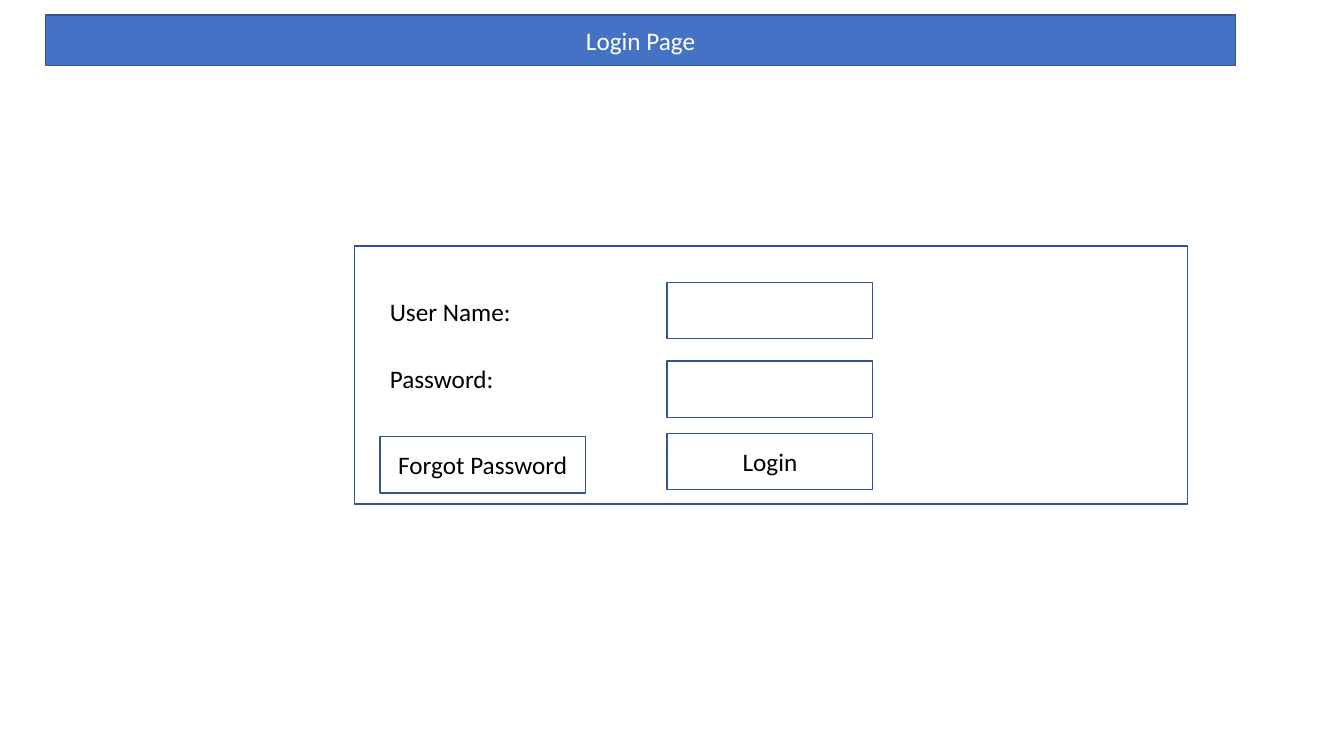
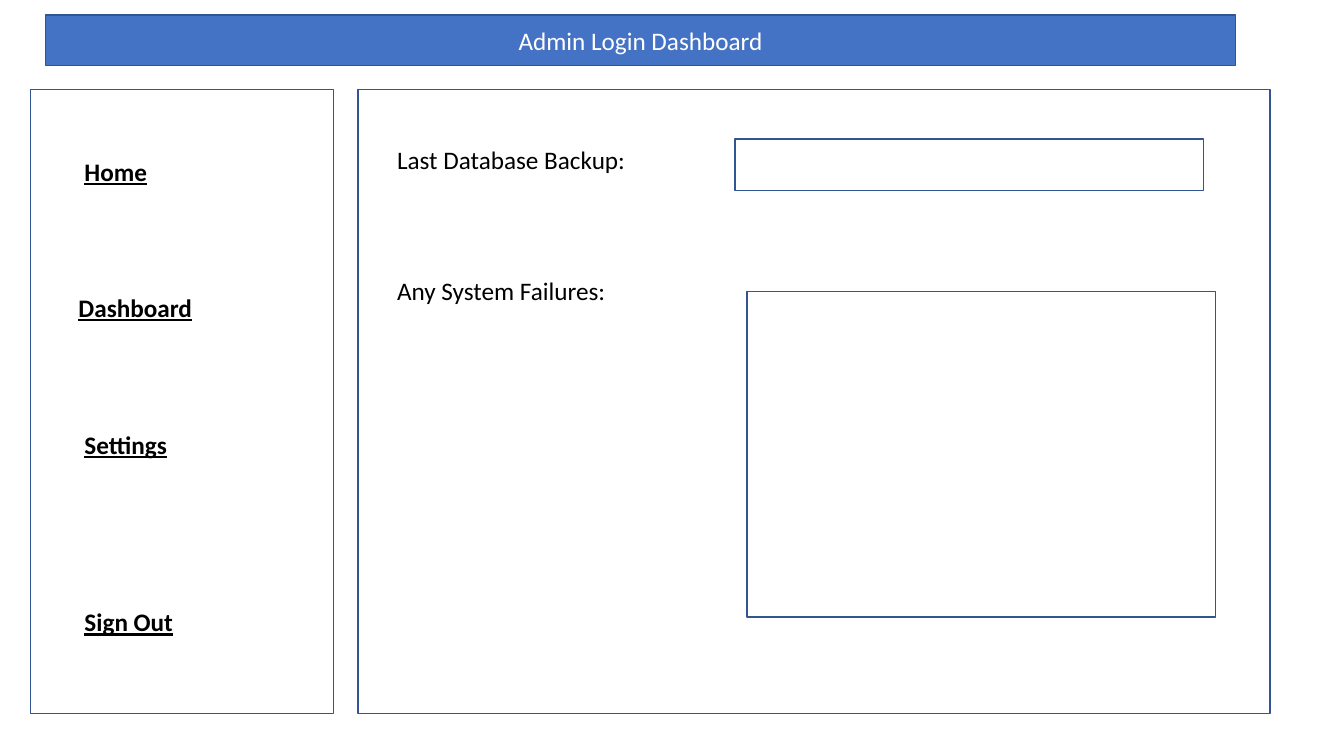
from pptx import Presentation
from pptx.dml.color import RGBColor
from pptx.enum.shapes import MSO_SHAPE as Preset
from pptx.enum.text import MSO_ANCHOR as Anchor, MSO_AUTO_SIZE as AutoSize, PP_ALIGN as Align
from pptx.util import Pt

BLUE = RGBColor(0x44, 0x72, 0xC4)
OUTLINE = RGBColor(0x32, 0x54, 0x91)
WHITE = RGBColor(0xFF, 0xFF, 0xFF)
BLACK = RGBColor(0x00, 0x00, 0x00)

PLAIN = {"name": "Calibri", "size": Pt(18)}
LINK = {**PLAIN, "bold": True, "underline": True}

# Shared layout, in points: left, top, width, height
BANNER = (32.4, 10.8, 850.3, 36)
LABEL_HEIGHT = 29

# Login page content
LOGIN_TITLE = "Login Page"
LOGIN_PANEL = (253.4, 175.7, 594.7, 184.3)
CONTROL_SIZE = (146.9, 40.3)
LABEL_LEFT, FIELD_LEFT = 271.4, 476.6
CONTROLS = [  # text, left, top
    ("", FIELD_LEFT, 201.6),
    ("", FIELD_LEFT, 257.8),
    ("Login", FIELD_LEFT, 309.6),
    ("Forgot Password", LABEL_LEFT, 311.8),
]
LOGIN_LABELS = [("User Name:", 208.1), ("Password:", 256.3)]
LOGIN_LABEL_WIDTH = 163.4

# Dashboard content
DASHBOARD_TITLE = "Admin Login Dashboard"
PANEL_TOP, PANEL_HEIGHT = 64.1, 445.7
SIDEBAR = (21.6, PANEL_TOP, 216.7, PANEL_HEIGHT)
MAIN_PANEL = (255.6, PANEL_TOP, 651.6, PANEL_HEIGHT)
MENU = [  # text, left, top
    ("Home", 53.3, 108),
    ("Dashboard", 49, 205.2),
    ("Settings", 53.3, 303.1),
    ("Sign Out", 53.3, 429.8),
]
MENU_WIDTH = 177.1
STATUS_LEFT, STATUS_WIDTH, STATUS_FIELD_WIDTH = 276.5, 286.6, 334.8
STATUS_ROWS = [  # text, label top, field left, field top, field height
    ("Last Database Backup:", 99.4, 524.9, 99.4, 36.7),
    ("Any System Failures:", 193, 533.5, 208.1, 232.6),
]


def write(paragraph, text, color, style):
    run = paragraph.add_run()
    run.text = text
    for name, value in style.items():
        setattr(run.font, name, value)
    run.font.color.rgb = color


def add_box(slide, bounds, text="", fill=WHITE, color=BLACK, preset=Preset.RECTANGLE):
    shape = slide.shapes.add_shape(preset, *map(Pt, bounds))
    shape.shadow.inherit = False
    shape.fill.solid()
    shape.fill.fore_color.rgb = fill
    shape.line.color.rgb = OUTLINE
    shape.line.width = Pt(1)
    if text:
        shape.text_frame.vertical_anchor = Anchor.MIDDLE
        paragraph = shape.text_frame.paragraphs[0]
        paragraph.alignment = Align.CENTER
        write(paragraph, text, color, PLAIN)


def add_label(slide, text, left, top, width, style=PLAIN):
    bounds = (left, top, width, LABEL_HEIGHT)
    frame = slide.shapes.add_textbox(*map(Pt, bounds)).text_frame
    frame.word_wrap = True
    frame.auto_size = AutoSize.SHAPE_TO_FIT_TEXT
    write(frame.paragraphs[0], text, BLACK, style)


def add_page(presentation, title):
    slide = presentation.slides.add_slide(presentation.slide_layouts[6])
    add_box(slide, BANNER, title, BLUE, WHITE)
    return slide


def build_login(presentation):
    slide = add_page(presentation, LOGIN_TITLE)
    add_box(slide, LOGIN_PANEL)
    for text, left, top in CONTROLS:
        add_box(slide, (left, top, *CONTROL_SIZE), text)
    for text, top in LOGIN_LABELS:
        add_label(slide, text, LABEL_LEFT, top, LOGIN_LABEL_WIDTH)


def build_dashboard(presentation):
    slide = add_page(presentation, DASHBOARD_TITLE)
    # Sidebar menu
    add_box(slide, SIDEBAR)
    for text, left, top in MENU:
        add_label(slide, text, left, top, MENU_WIDTH, LINK)
    # Status panel
    button = Preset.ACTION_BUTTON_CUSTOM
    add_box(slide, MAIN_PANEL, preset=button)
    for text, label_top, left, top, height in STATUS_ROWS:
        add_label(slide, text, STATUS_LEFT, label_top, STATUS_WIDTH)
        add_box(slide, (left, top, STATUS_FIELD_WIDTH, height), preset=button)


def main():
    presentation = Presentation()
    presentation.slide_width, presentation.slide_height = Pt(960), Pt(540)
    build_login(presentation)
    build_dashboard(presentation)
    presentation.save("out.pptx")


if __name__ == "__main__":
    main()
